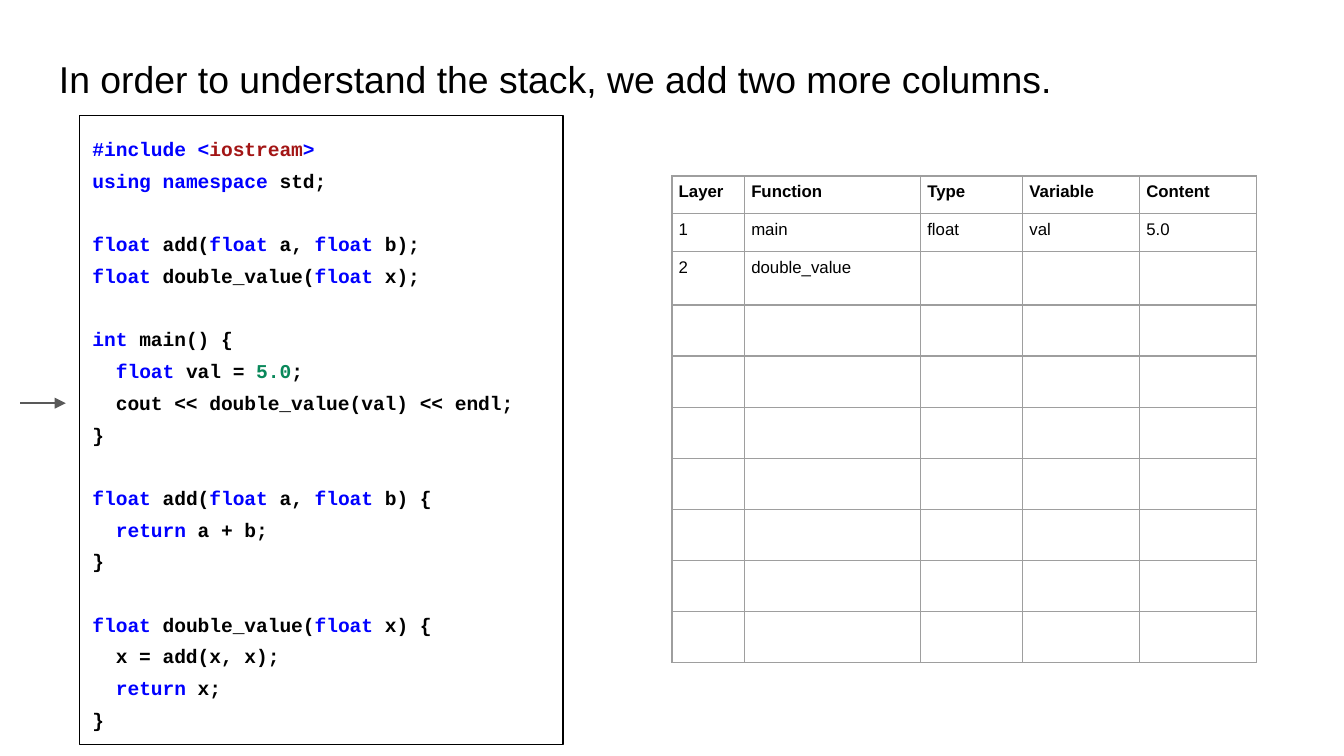
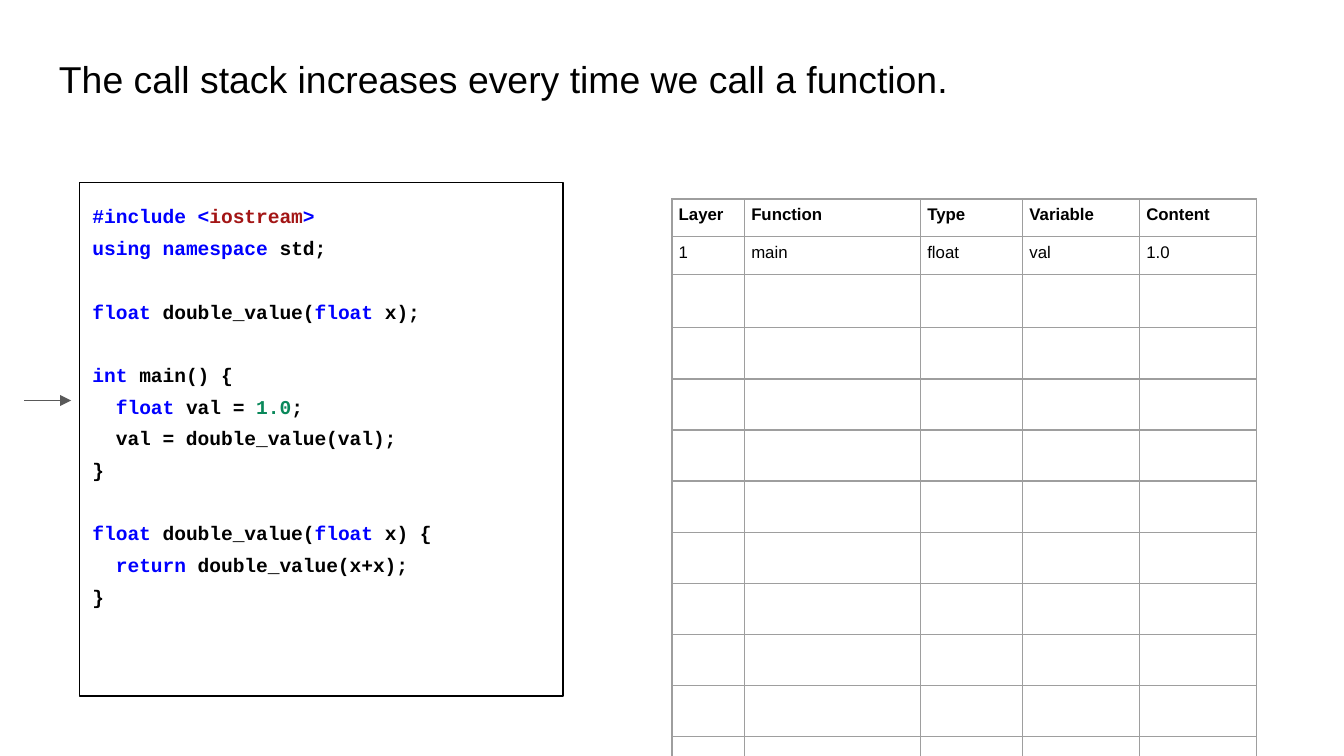
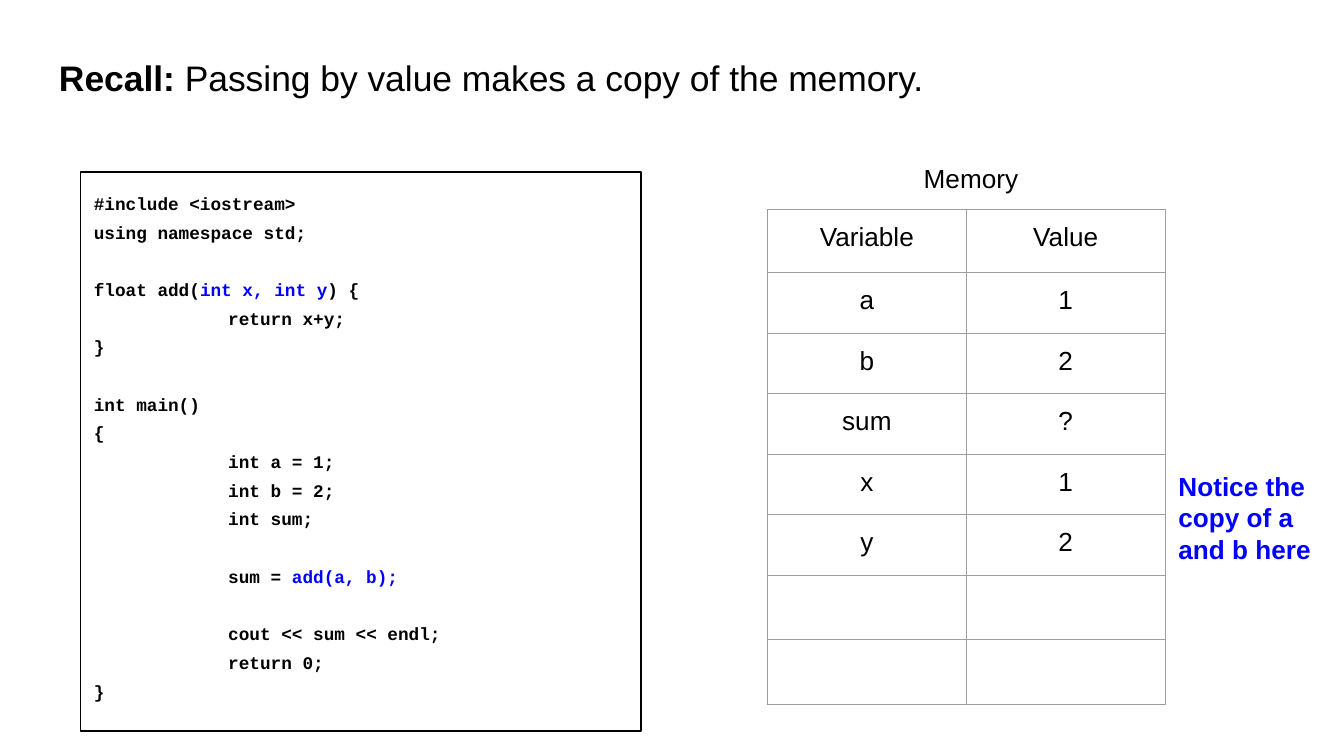
from itertools import groupby

from lxml.etree import SubElement
from pptx import Presentation
from pptx.dml.color import RGBColor
from pptx.enum.shapes import MSO_CONNECTOR, MSO_SHAPE
from pptx.enum.text import MSO_ANCHOR, PP_ALIGN
from pptx.oxml.ns import qn
from pptx.util import Inches, Pt

COLORS = {
    "black": "000000", "white": "FFFFFF", "blue": "0000FF", "red": "A31515",
    "green": "09885A", "arrow": "595959", "grid": "9E9E9E",
}
SANS, MONO = "Arial", "Courier New"
CODE_SPACE = 19 / 14

# Colour of each code token; any other token is black.
TOKENS = {
    "#include": "blue", " <": "blue", "iostream": "red", ">": "blue",
    "using": "blue", "namespace": "blue", "float": "blue", "int": "blue",
    "return": "blue", "5.0": "green", "1.0": "green",
}

ADD_CODE = """\
#include <iostream>
using namespace std;

float add(float a, float b);
float double_value(float x);

int main() {
  float val = 5.0;
  cout << double_value(val) << endl;
}

float add(float a, float b) {
  return a + b;
}

float double_value(float x) {
  x = add(x, x);
  return x;
}"""

LOOP_CODE = """\
#include <iostream>
using namespace std;

float double_value(float x);

int main() {
  float val = 1.0;
  val = double_value(val);
}

float double_value(float x) {
  return double_value(x+x);
}"""

COPY_CODE = [
    "#include <iostream>",
    "using namespace std;",
    "",
    ["float add(", ("int x, int y", {"color": "blue"}), ") {"],
    "\treturn x+y;",
    "}",
    "",
    "int main()",
    "{",
    "\tint a = 1;",
    "\tint b = 2;",
    "\tint sum;",
    "",
    ["\tsum = ", ("add(a, b);", {"color": "blue"})],
    "",
    "\tcout << sum << endl;",
    "\treturn 0;",
    "}",
]

HEAD = ["Layer", "Function", "Type", "Variable", "Content"]
STACK_COLS = [0.54, 1.31, 0.76, 0.87, 0.87]
STACK_ROWS = [0.28, 0.28, 0.4]
FREE_ROW = 0.38

STACKS = [
    {
        "title": "In order to understand the stack, we add two more columns.",
        "code": ADD_CODE, "box": (0.59, 0.86, 3.6, 4.68),
        "arrow": (0.15, 0.49, 3),
        "cells": [HEAD, ["1", "main", "float", "val", "5.0"],
                  ["2", "double_value"]],
        "top": 1.31, "free": 7,
    },
    {
        "title": "The call stack increases every time we call a function.",
        "code": LOOP_CODE, "box": (0.59, 1.36, 3.6, 3.82),
        "arrow": (0.18, 0.53, 2.98),
        "cells": [HEAD, ["1", "main", "float", "val", "1.0"]],
        "top": 1.48, "free": 9,
    },
]

MEMORY = [["Variable", "Value"], ["a", "1"], ["b", "2"], ["sum", "?"],
          ["x", "1"], ["y", "2"]]
MEMORY_ROWS = [0.47] + [0.45] * 5 + [0.48] * 2


def rgb(name):
    return RGBColor.from_string(COLORS[name])


def write(frame, paras, size=14, font=SANS, color="black", bold=False,
          align=PP_ALIGN.LEFT, space=None, tab=None):
    """Fill a frame; a paragraph is a string or a list of runs,
    and a run is a string or a (string, changes) pair."""
    for i, para in enumerate(paras):
        p = frame.paragraphs[0] if i == 0 else frame.add_paragraph()
        p.alignment = align
        if space:
            p.line_spacing = space
        if tab:
            tabs = SubElement(p._p.get_or_add_pPr(), qn("a:tabLst"))
            SubElement(tabs, qn("a:tab"), pos=str(Inches(tab)), algn="l")
        if not para:
            end = SubElement(p._p, qn("a:endParaRPr"), sz=str(int(size * 100)))
            SubElement(end, qn("a:latin"), typeface=font)
            continue
        for part in [para] if isinstance(para, str) else para:
            text, change = (part, {}) if isinstance(part, str) else part
            run = p.add_run()
            run.text = text
            run.font.name = font
            run.font.size = Pt(size)
            run.font.bold = change.get("bold", bold)
            run.font.color.rgb = rgb(change.get("color", color))


def label(slide, paras, place, **style):
    frame = slide.shapes.add_textbox(*map(Inches, place)).text_frame
    inset(frame, 0.1)
    frame.word_wrap = True
    write(frame, paras, **style)


def inset(item, gap):
    item.margin_left = item.margin_right = Inches(gap)
    item.margin_top = item.margin_bottom = Inches(gap)


def paint(line):
    """Split a code line into runs, one for each change of colour."""
    words = ["".join(g) for _, g in
             groupby(line, lambda c: c.isalnum() or c in "#._")]
    return [("".join(g), {"color": color}) for color, g in
            groupby(words, lambda w: TOKENS.get(w, "black"))]


def listing(slide, lines, place, **style):
    box = slide.shapes.add_shape(MSO_SHAPE.RECTANGLE, *map(Inches, place))
    box.shadow.inherit = False
    box.fill.background()
    box.line.color.rgb = rgb("black")
    box.line.width = Pt(0.75)
    frame = box.text_frame
    inset(frame, 0.1)
    frame.word_wrap = True
    frame.vertical_anchor = MSO_ANCHOR.TOP
    write(frame, lines, font=MONO, bold=True, space=CODE_SPACE, **style)


def arrow(slide, start, end, y):
    line = slide.shapes.add_connector(
        MSO_CONNECTOR.STRAIGHT, *map(Inches, (start, y, end, y)))
    line.line.color.rgb = rgb("arrow")
    line.line.width = Pt(0.75)
    SubElement(line.line._get_or_add_ln(), qn("a:tailEnd"), type="triangle")
    SubElement(line._element.spPr, qn("a:effectLst"))


def border(cell):
    props = cell._tc.get_or_add_tcPr()
    for side in ("lnL", "lnR", "lnT", "lnB"):
        edge = SubElement(props, qn("a:" + side), w=str(Pt(0.75)))
        fill = SubElement(edge, qn("a:solidFill"))
        SubElement(fill, qn("a:srgbClr"), val=COLORS["grid"])


def grid(slide, cells, left, top, cols, rows, gap, head=False, **style):
    table = slide.shapes.add_table(
        len(rows), len(cols), Inches(left), Inches(top),
        Inches(sum(cols)), Inches(sum(rows))).table
    table.first_row = table.horz_banding = False
    for col, width in zip(table.columns, cols):
        col.width = Inches(width)
    for r, height in enumerate(rows):
        table.rows[r].height = Inches(height)
        texts = cells[r] if r < len(cells) else []
        for c in range(len(cols)):
            cell = table.cell(r, c)
            inset(cell, gap)
            border(cell)
            cell.fill.background()
            text = texts[c] if c < len(texts) else ""
            write(cell.text_frame, [text], bold=head and r == 0, **style)


def page(deck, title, size=20):
    slide = deck.slides.add_slide(deck.slide_layouts[6])
    slide.background.fill.solid()
    slide.background.fill.fore_color.rgb = rgb("white")
    label(slide, [title], (0.34, 0.32, 9.32, 0.63), size=size)
    return slide


def stack(deck, data):
    slide = page(deck, data["title"])
    lines = [paint(line) for line in data["code"].split("\n")]
    listing(slide, lines, data["box"], size=10.5)
    arrow(slide, *data["arrow"])
    rows = STACK_ROWS + [FREE_ROW] * data["free"]
    grid(slide, data["cells"], 5, data["top"], STACK_COLS, rows, 0.05,
         head=True, size=9)


def recall(deck):
    slide = page(deck, [("Recall:", {"bold": True}),
                        " Passing by value makes a copy of the memory."], 19)
    listing(slide, COPY_CODE, (0.6, 1.28, 4.17, 4.16), size=9.5, tab=1)
    grid(slide, MEMORY, 5.71, 1.56, [1.48] * 2, MEMORY_ROWS, 0.1,
         align=PP_ALIGN.CENTER)
    label(slide, ["Memory"], (5.46, 1.11, 3.53, 0.55), align=PP_ALIGN.CENTER)
    label(slide, ["Notice the copy of a and b here"], (8.67, 3.4, 1.33, 0.55),
          color="blue", bold=True)


def main():
    deck = Presentation()
    deck.slide_width = Inches(10)
    deck.slide_height = deck.slide_width * 9 // 16
    for data in STACKS:
        stack(deck, data)
    recall(deck)
    deck.save("out.pptx")


if __name__ == "__main__":
    main()
